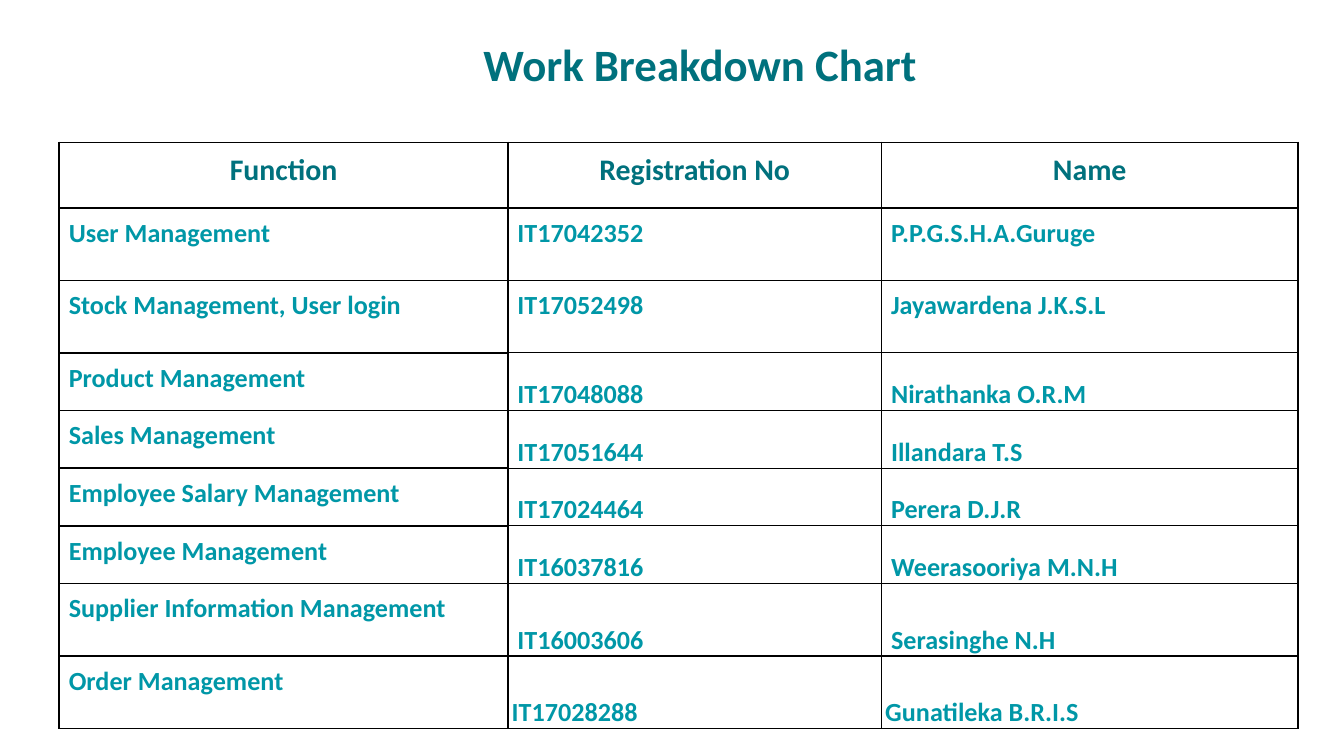
from dataclasses import dataclass

from lxml.etree import SubElement
from pptx import Presentation
from pptx.dml.color import RGBColor as Color
from pptx.enum.text import MSO_ANCHOR as Anchor
from pptx.enum.text import MSO_AUTO_SIZE as AutoSize
from pptx.enum.text import PP_ALIGN as Align
from pptx.oxml.ns import qn
from pptx.util import Cm, Pt


@dataclass(frozen=True)
class Theme:
    font: str = "Calibri"
    heading: str = "00717D"
    body: str = "0097A7"
    border: str = "000000"
    title_size: int = 24
    header_size: int = 16
    body_size: int = 14
    thick: float = 1
    thin: float = 0.75


THEME = Theme()
TITLE_ONLY = 5
COLUMN_WIDTHS = [8.48, 7.06, 7.87]
ROW_HEIGHTS = [1.24, 1.37, 1.37, 1.09, 1.09, 1.09, 1.09, 1.37, 1.37]
HEADER = ("Function", "Registration No", "Name")
ASSIGNMENTS = [
    ("User Management", "IT17042352", "P.P.G.S.H.A.Guruge"),
    ("Stock Management, User login", "IT17052498", "Jayawardena J.K.S.L"),
    ("Product Management", "IT17048088", "Nirathanka O.R.M"),
    ("Sales Management", "IT17051644", "Illandara T.S"),
    ("Employee Salary Management", "IT17024464", "Perera D.J.R"),
    ("Employee Management", "IT16037816", "Weerasooriya M.N.H"),
    ("Supplier Information Management", "IT16003606", "Serasinghe N.H"),
    ("Order Management", "IT17028288", "Gunatileka B.R.I.S"),
]
FIRST_LOW_ROW = 3
LAST_ROW = len(ASSIGNMENTS)


def write_text(frame, text, size=THEME.body_size, color=THEME.body,
               align=Align.LEFT, spacing=0, line_spacing=1.0):
    para = frame.paragraphs[0]
    para.alignment = align
    para.space_before = para.space_after = Pt(spacing)
    para.line_spacing = line_spacing
    span = para.add_run()
    span.text = text
    span.font.name = THEME.font
    span.font.size = Pt(size)
    span.font.bold = True
    span.font.color.rgb = Color.from_string(color)


def set_margins(cell, side, vertical):
    cell.margin_left = cell.margin_right = Cm(side)
    cell.margin_top = cell.margin_bottom = Cm(vertical)


def draw_borders(cell, left, right, top, bottom):
    properties = cell._tc.get_or_add_tcPr()
    widths = {"a:lnL": left, "a:lnR": right, "a:lnT": top, "a:lnB": bottom}
    for position, (tag, width) in enumerate(widths.items()):
        line = SubElement(properties, qn(tag), w=str(Pt(width)))
        fill = SubElement(line, qn("a:solidFill"))
        SubElement(fill, qn("a:srgbClr"), val=THEME.border)
        properties.insert(position, line)


def border_widths(row, column):
    low = row >= FIRST_LOW_ROW
    base = THEME.thin if low and column else THEME.thick
    right = THEME.thin if low else base
    bottom = THEME.thin if row == FIRST_LOW_ROW - 1 and column else base
    return base, right, base, bottom


def fill_cell(cell, row, column, text):
    cell.fill.background()
    cell.vertical_anchor = Anchor.TOP
    set_margins(cell, 0.18, 0.18)
    draw_borders(cell, *border_widths(row, column))
    if row == 0:
        write_text(cell.text_frame, text, size=THEME.header_size,
                   color=THEME.heading, align=Align.CENTER)
    elif column == 0:
        write_text(cell.text_frame, text, spacing=3 if row >= LAST_ROW - 1 else 0)
    elif row < FIRST_LOW_ROW:
        write_text(cell.text_frame, text, spacing=3)
    else:
        last = row == LAST_ROW
        cell.vertical_anchor = Anchor.BOTTOM
        set_margins(cell, 0.07 if last else 0.18, 0)
        write_text(cell.text_frame, text, spacing=3 if last else 0,
                   line_spacing=1.0 if last else 1.15)


def add_title(page, text):
    title = page.shapes.title
    title.left, title.top, title.width, title.height = Cm(8.81), Cm(0.56), Cm(8.84), Cm(1.27)
    frame = title.text_frame
    frame.word_wrap = False
    frame.auto_size = AutoSize.NONE
    frame.vertical_anchor = Anchor.TOP
    write_text(frame, text, size=THEME.title_size, color=THEME.heading,
               align=Align.CENTER)


def add_breakdown_table(page):
    rows = [HEADER, *ASSIGNMENTS]
    table = page.shapes.add_table(
        len(rows), len(HEADER), Cm(1.12), Cm(2.69),
        Cm(sum(COLUMN_WIDTHS)), Cm(sum(ROW_HEIGHTS))).table
    table.first_row = table.horz_banding = False
    for column, width in zip(table.columns, COLUMN_WIDTHS):
        column.width = Cm(width)
    for row, height in zip(table.rows, ROW_HEIGHTS):
        row.height = Cm(height)
    for row, texts in enumerate(rows):
        for column, text in enumerate(texts):
            fill_cell(table.cell(row, column), row, column, text)


def main():
    deck = Presentation()
    deck.slide_width, deck.slide_height = Cm(25.4), Cm(14.29)
    page = deck.slides.add_slide(deck.slide_layouts[TITLE_ONLY])
    add_title(page, "Work Breakdown Chart")
    add_breakdown_table(page)
    deck.save("out.pptx")


if __name__ == "__main__":
    main()
